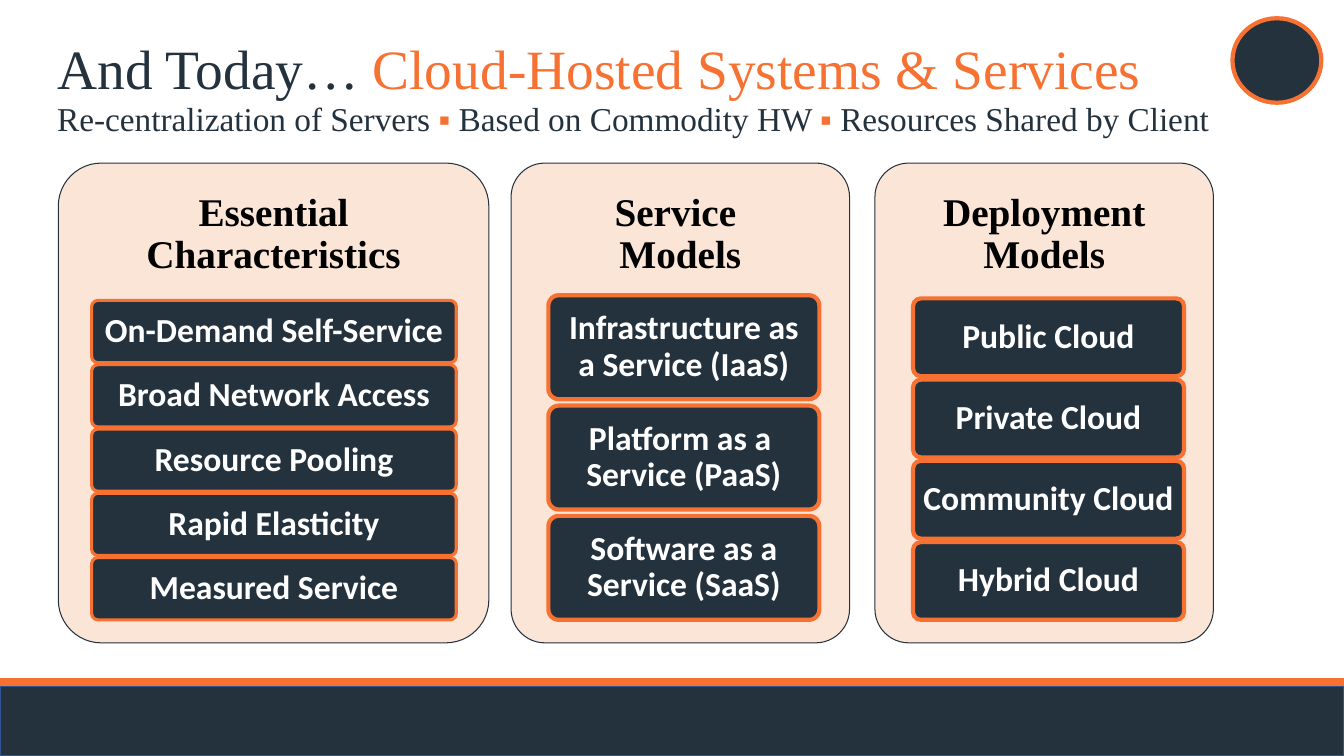
from dataclasses import dataclass

from pptx import Presentation
from pptx.dml.color import RGBColor
from pptx.enum import shapes, text
from pptx.util import Cm, Pt


@dataclass(frozen=True)
class Theme:
    navy: RGBColor = RGBColor(0x24, 0x32, 0x3E)
    orange: RGBColor = RGBColor(0xF6, 0x71, 0x32)
    peach: RGBColor = RGBColor(0xFB, 0xE5, 0xD6)
    blue: RGBColor = RGBColor(0x32, 0x54, 0x91)
    black: RGBColor = RGBColor(0, 0, 0)
    white: RGBColor = RGBColor(0xFF, 0xFF, 0xFF)
    serif: str = "Times New Roman"
    sans: str = "Calibri"
    title: Pt = Pt(39.6)
    subtitle: Pt = Pt(23.8)
    heading: Pt = Pt(28)
    item: Pt = Pt(24)


theme = Theme()
kinds = shapes.MSO_SHAPE
deck = Presentation()
deck.slide_width, deck.slide_height = Cm(33.87), Cm(19.05)
page = deck.slides.add_slide(deck.slide_layouts[5])


def add_box(kind, left, top, width, height, fill, line=None, weight=1):
    box = page.shapes.add_shape(kind, Cm(left), Cm(top), Cm(width), Cm(height))
    box.shadow.inherit = False
    box.fill.solid()
    box.fill.fore_color.rgb = fill
    if line is None:
        box.line.fill.background()
    else:
        box.line.color.rgb = line
        box.line.width = Pt(weight)
    if kind == kinds.ROUNDED_RECTANGLE:
        box.adjustments[0] = 0.1
    return box


def write(box, spans, font, size, bold=False, align=text.PP_ALIGN.CENTER,
          spacing=0.9, anchor=text.MSO_ANCHOR.MIDDLE):
    """Fill the box with one paragraph of (wording, colour) spans."""
    frame = box.text_frame
    frame.word_wrap = True
    frame.auto_size = text.MSO_AUTO_SIZE.NONE
    frame.vertical_anchor = anchor
    para = frame.paragraphs[0]
    para.alignment = align
    para.line_spacing = spacing
    para.font.name, para.font.size, para.font.bold = font, size, bold
    for wording, colour in spans:
        for index, line in enumerate(wording.split("\n")):
            if index:
                para.add_line_break()
            span = para.add_run()
            span.text = line
            span.font.color.rgb = colour
    return para


# Footer bands and corner badge
add_box(kinds.RECTANGLE, 0, 17.09, 33.87, 0.71, theme.orange)
add_box(kinds.RECTANGLE, 0, 17.3, 33.87, 1.75, theme.navy, theme.blue)
add_box(kinds.OVAL, 31.06, 0.46, 2.24, 2.13, theme.navy, theme.orange, 3)

# Title and subtitle
title = page.shapes.title
title.left, title.top, title.width, title.height = Cm(1.19), Cm(1.02), Cm(28.52), Cm(1.57)
write(title, [("And Today… ", theme.navy),
              ("Cloud-Hosted Systems & Services", theme.orange)],
      theme.serif, theme.title, align=text.PP_ALIGN.LEFT)

subtitle = page.shapes.add_textbox(Cm(1.19), Cm(2.62), Cm(30.96), Cm(1.02))
para = write(subtitle, [("Re-centralization of Servers ", theme.navy),
                        ("▪", theme.orange),
                        (" Based on Commodity HW ", theme.navy),
                        ("▪", theme.orange),
                        (" Resources Shared by Client", theme.navy)],
             theme.serif, theme.subtitle, align=text.PP_ALIGN.LEFT,
             spacing=0.7, anchor=text.MSO_ANCHOR.TOP)
para.space_before = Pt(10)
for span in para.runs[1::2]:
    span.font.bold = True

# Cards: heading, left, width, then item left, width, top, height, line weight
cards = [
    ("Essential Characteristics", 1.47, 10.85, 2.31, 9.19, 7.57, 1.57, 2.25,
     ["On-Demand Self-Service", "Broad Network Access", "Resource Pooling",
      "Rapid Elasticity", "Measured Service"]),
    ("Service \nModels", 12.88, 8.53, 13.82, 6.83, 7.44, 2.62, 3,
     ["Infrastructure as a Service (IaaS)", "Platform as a \nService (PaaS)",
      "Software as a Service (SaaS)"]),
    ("Deployment Models", 22.05, 8.53, 23.01, 6.83, 7.52, 1.96, 3,
     ["Public Cloud", "Private Cloud", "Community Cloud", "Hybrid Cloud"]),
]
card_top, card_height, heading_height, items_bottom = 4.11, 12.09, 3.63, 15.62

for heading, left, width, item_left, item_width, top, height, weight, items in cards:
    add_box(kinds.ROUNDED_RECTANGLE, left, card_top, width, card_height,
            theme.peach, theme.navy, 0.75)
    label = page.shapes.add_textbox(Cm(left), Cm(card_top), Cm(width), Cm(heading_height))
    write(label, [(heading, theme.black)], theme.serif, theme.heading, bold=True)

    step = (items_bottom - height - top) / (len(items) - 1)
    for row, item in enumerate(items):
        box = add_box(kinds.ROUNDED_RECTANGLE, item_left, top + row * step,
                      item_width, height, theme.navy, theme.orange, weight)
        write(box, [(item, theme.white)], theme.sans, theme.item, bold=True)
        box.text_frame.margin_left = box.text_frame.margin_right = Cm(0.18)

deck.save("out.pptx")
